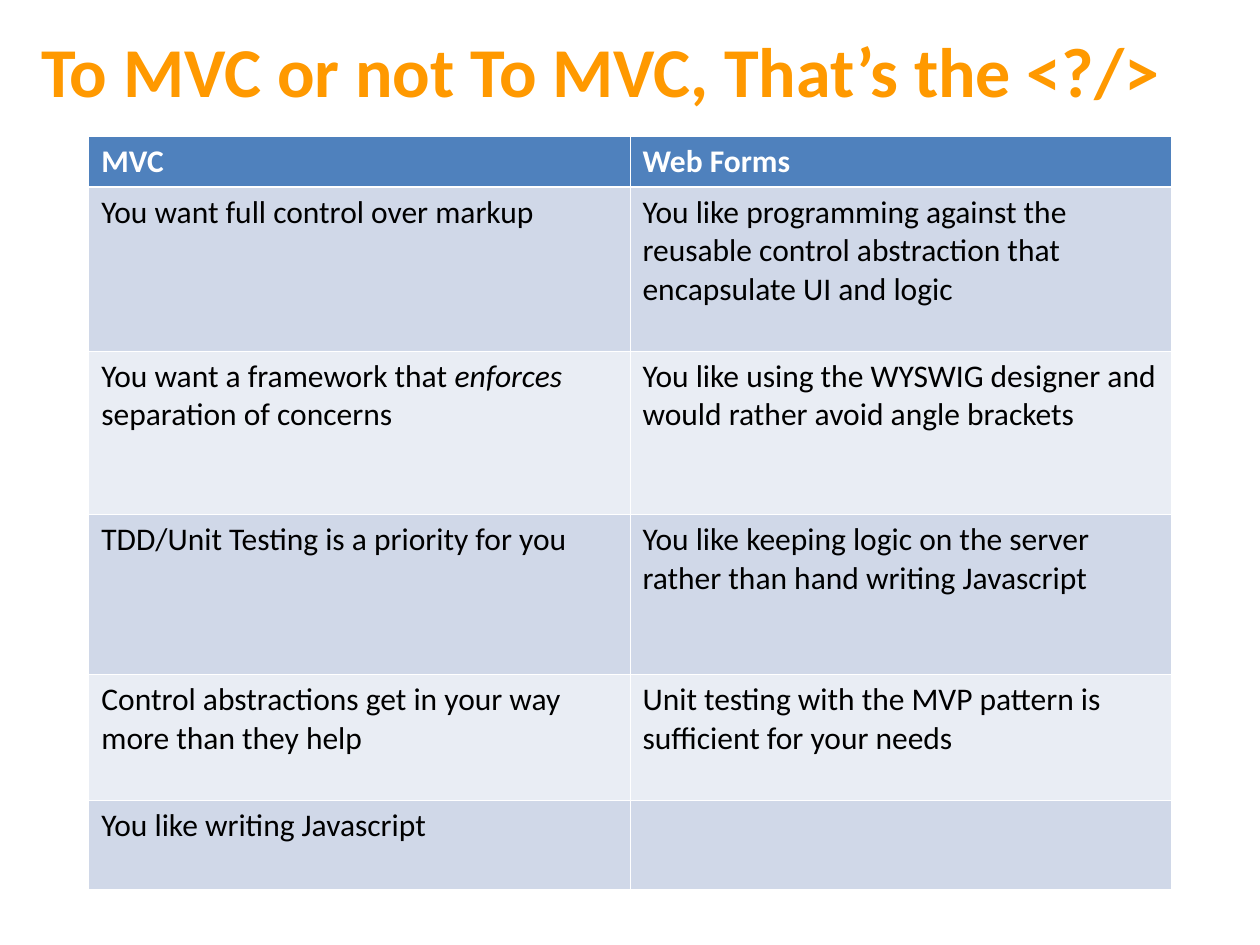
from pptx import Presentation
from pptx.dml.color import RGBColor
from pptx.enum.text import MSO_ANCHOR as Anchor
from pptx.oxml import parse_xml
from pptx.oxml.ns import nsdecls
from pptx.util import Cm, Pt

TITLE = {"name": "Calibri", "size": Pt(40), "bold": True}
HEADER = {"name": "Calibri", "size": Pt(18), "bold": True}
BODY = {"name": "Calibri", "size": Pt(18), "bold": False}
BANDS = ["D0D8E8", "E9EDF4"]
THIN, THICK = 0.45, 1.47
ROW_HEIGHTS = [1.01, 3.31, 3.29, 3.23, 2.54, 1.79]
ROWS = [
    (["MVC"], ["Web Forms"]),
    (["You want full control over markup"],
     ["You like programming against the reusable control abstraction that encapsulate UI and logic"]),
    (["You want a framework that ", "enforces", " separation of concerns"],
     ["You like using the WYSWIG designer and would rather avoid angle brackets"]),
    (["TDD/Unit Testing is a priority for you"],
     ["You like keeping logic on the server rather than hand writing Javascript"]),
    (["Control abstractions get in your way more than they help"],
     ["Unit testing with the MVP pattern is sufficient for your needs"]),
    (["You like writing Javascript"], []),
]


def paint(color, value):
    """Set a colour format from a hex string."""
    color.rgb = RGBColor.from_string(value)


def write(para, pieces, style, color):
    """Write text pieces into a paragraph, every second one in italics."""
    for name, value in style.items():
        setattr(para.font, name, value)
    for index, piece in enumerate(pieces):
        span = para.add_run()
        span.text = piece
        for name, value in style.items():
            setattr(span.font, name, value)
        span.font.italic = index % 2 == 1
        paint(span.font.color, color)


def add_borders(cell, top, bottom):
    """Draw white borders around a cell."""
    properties = cell._tc.get_or_add_tcPr()
    for side, width in {"L": THIN, "R": THIN, "T": top, "B": bottom}.items():
        properties.append(parse_xml(
            f'<a:ln{side} {nsdecls("a")} w="{Pt(width)}"><a:solidFill>'
            f'<a:srgbClr val="FFFFFF"/></a:solidFill></a:ln{side}>'))


def add_title(page, left, top, width, height, text):
    """Place the slide title in the given box."""
    box = page.shapes.add_textbox(Cm(left), Cm(top), Cm(width), Cm(height))
    box.text_frame.word_wrap = True
    box.text_frame.vertical_anchor = Anchor.MIDDLE
    write(box.text_frame.paragraphs[0], [text], TITLE, "FF9900")


def add_comparison(page, left, top, width):
    """Place the two-column comparison table in the given box."""
    table = page.shapes.add_table(len(ROWS), 2, Cm(left), Cm(top), Cm(width),
                                  Cm(sum(ROW_HEIGHTS))).table
    for row, (height, texts) in enumerate(zip(ROW_HEIGHTS, ROWS)):
        table.rows[row].height = Cm(height)
        fill, style, color = ((BANDS[(row - 1) % 2], BODY, "000000") if row
                              else ("4F81BD", HEADER, "FFFFFF"))
        for column, pieces in enumerate(texts):
            cell = table.cell(row, column)
            add_borders(cell, THICK if row == 1 else THIN, THICK if row == 0 else THIN)
            cell.fill.solid()
            paint(cell.fill.fore_color, fill)
            write(cell.text_frame.paragraphs[0], pieces, style, color)


def main():
    """Build and save the deck."""
    deck = Presentation()
    deck.slide_width, deck.slide_height = Cm(25.4), Cm(19.05)
    page = deck.slides.add_slide(deck.slide_layouts[6])
    add_title(page, 0.58, 0.2, 24.21, 2.39, "To MVC or not To MVC, That’s the <?/>")
    add_comparison(page, 1.79, 2.75, 21.82)
    deck.save("out.pptx")


if __name__ == "__main__":
    main()
